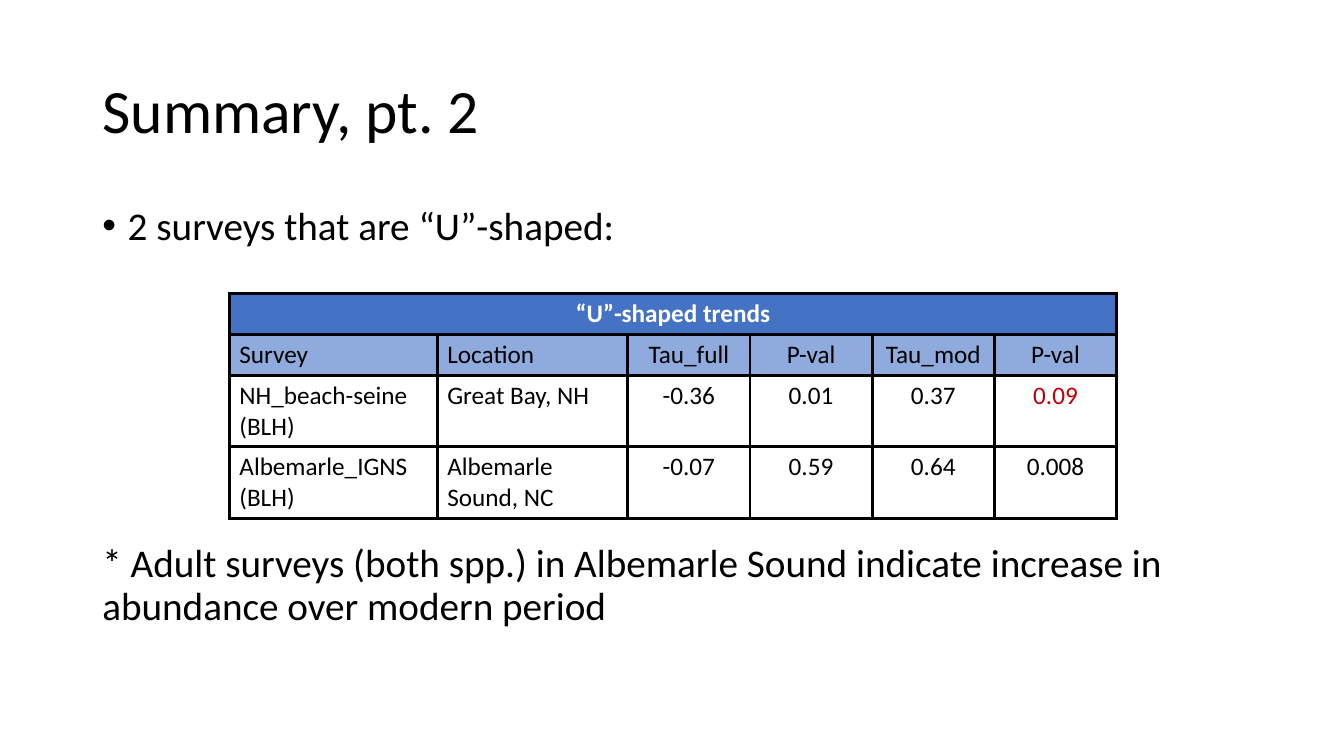
import pptx
import pptx.util
import pptx.dml.color
import pptx.enum.text
import pptx.oxml
import pptx.oxml.ns

Cm = pptx.util.Cm
Pt = pptx.util.Pt
Align = pptx.enum.text.PP_ALIGN
Anchor = pptx.enum.text.MSO_ANCHOR

TITLE = "Summary, pt. 2"
POINT = "2 surveys that are “U”-shaped:"
NOTE = ("* Adult surveys (both spp.) in Albemarle Sound indicate increase in "
        "abundance over modern period")
ROWS = [
    ["“U”-shaped trends", "", "", "", "", ""],
    ["Survey", "Location", "Tau_full", "P-val", "Tau_mod", "P-val"],
    ["NH_beach-seine (BLH)", "Great Bay, NH", "-0.36", "0.01", "0.37", "0.09"],
    ["Albemarle_IGNS (BLH)", "Albemarle Sound, NC", "-0.07", "0.59", "0.64", "0.008"],
]
FILLS = ["4472C4", "8FAADC", "FFFFFF", "FFFFFF"]
WIDTHS = [5.24, 4.8] + [3.08] * 4
HEIGHTS = [1.03, 1.03, 1.8, 1.8]
RED = (2, 5)
LEFT, WIDE = 2.33, 29.21


def color(text):
    return pptx.dml.color.RGBColor.from_string(text)


def apply(item, style):
    for name, value in style.items():
        setattr(item, name, value)


def write(para, text, size, tint="000000", bold=False, **style):
    run = para.add_run()
    run.text = text
    apply(run.font, {"name": "Calibri", "size": Pt(size), "bold": bold})
    run.font.color.rgb = color(tint)
    apply(para, style)


def place(shape, left, top, width, height):
    apply(shape, {"left": Cm(left), "top": Cm(top),
                  "width": Cm(width), "height": Cm(height)})


def bullet(para):
    props = para._p.get_or_add_pPr()
    props.set("marL", str(Cm(0.64)))
    props.set("indent", str(-Cm(0.64)))
    for tag in ('buFont typeface="Arial"', 'buChar char="•"'):
        props.append(pptx.oxml.parse_xml(
            f"<a:{tag} {pptx.oxml.ns.nsdecls('a')}/>"))


def border(cell):
    props = cell._tc.get_or_add_tcPr()
    for side in "LRTB":
        props.append(pptx.oxml.parse_xml(
            f"<a:ln{side} {pptx.oxml.ns.nsdecls('a')} w='{Pt(2.25)}'>"
            f"<a:solidFill><a:srgbClr val='000000'/></a:solidFill></a:ln{side}>"))


def add_title(slide):
    title = slide.shapes.title
    place(title, LEFT, 1.01, WIDE, 3.68)
    apply(title.text_frame, {"vertical_anchor": Anchor.MIDDLE, "word_wrap": True})
    write(title.text_frame.paragraphs[0], TITLE, 44,
          alignment=Align.LEFT, line_spacing=0.9)


def add_body(slide):
    frame = slide.shapes.add_textbox(Cm(LEFT), Cm(5.07), Cm(WIDE), Cm(12.09)).text_frame
    frame.word_wrap = True
    first = frame.paragraphs[0]
    write(first, POINT, 28, line_spacing=0.9, space_before=Pt(10))
    bullet(first)
    write(frame.add_paragraph(), NOTE, 28, line_spacing=0.9, space_before=Pt(211))


def add_trends(slide):
    table = slide.shapes.add_table(
        len(ROWS), len(WIDTHS), Cm(5.78), Cm(7.4),
        Cm(sum(WIDTHS)), Cm(sum(HEIGHTS))).table
    for col, width in zip(table.columns, WIDTHS):
        col.width = Cm(width)
    for row, height in zip(table.rows, HEIGHTS):
        row.height = Cm(height)
    table.cell(0, 0).merge(table.cell(0, len(WIDTHS) - 1))
    for r, texts in enumerate(ROWS):
        for c, text in enumerate(texts):
            cell = table.cell(r, c)
            border(cell)
            cell.fill.solid()
            cell.fill.fore_color.rgb = color(FILLS[r])
            if not text:
                continue
            tint = "FFFFFF" if r == 0 else "C00000" if (r, c) == RED else "000000"
            side = Align.CENTER if r == 0 or c > 1 else Align.LEFT
            write(cell.text_frame.paragraphs[0], text, 18, tint, r == 0, alignment=side)


def main():
    deck = pptx.Presentation()
    apply(deck, {"slide_width": Cm(33.87), "slide_height": Cm(19.05)})
    slide = deck.slides.add_slide(deck.slide_layouts[5])
    add_title(slide)
    add_body(slide)
    add_trends(slide)
    deck.save("out.pptx")


if __name__ == "__main__":
    main()
